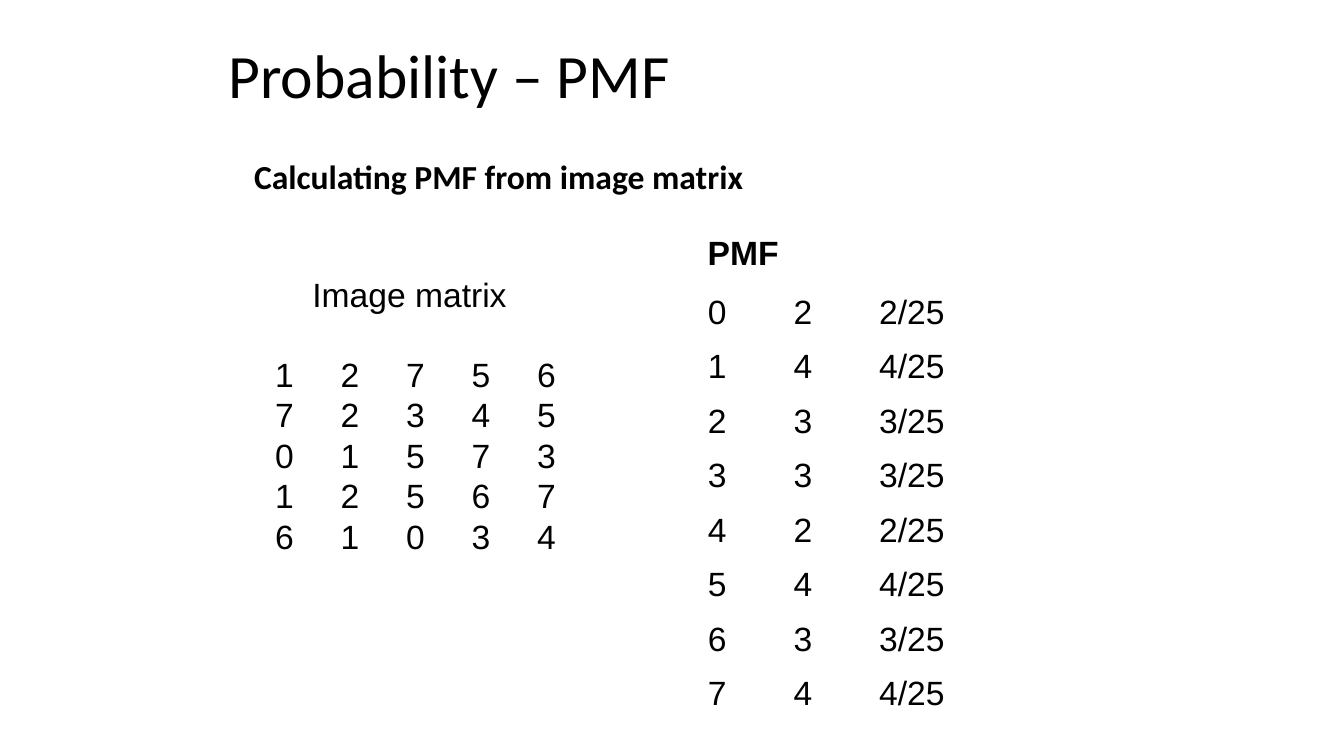
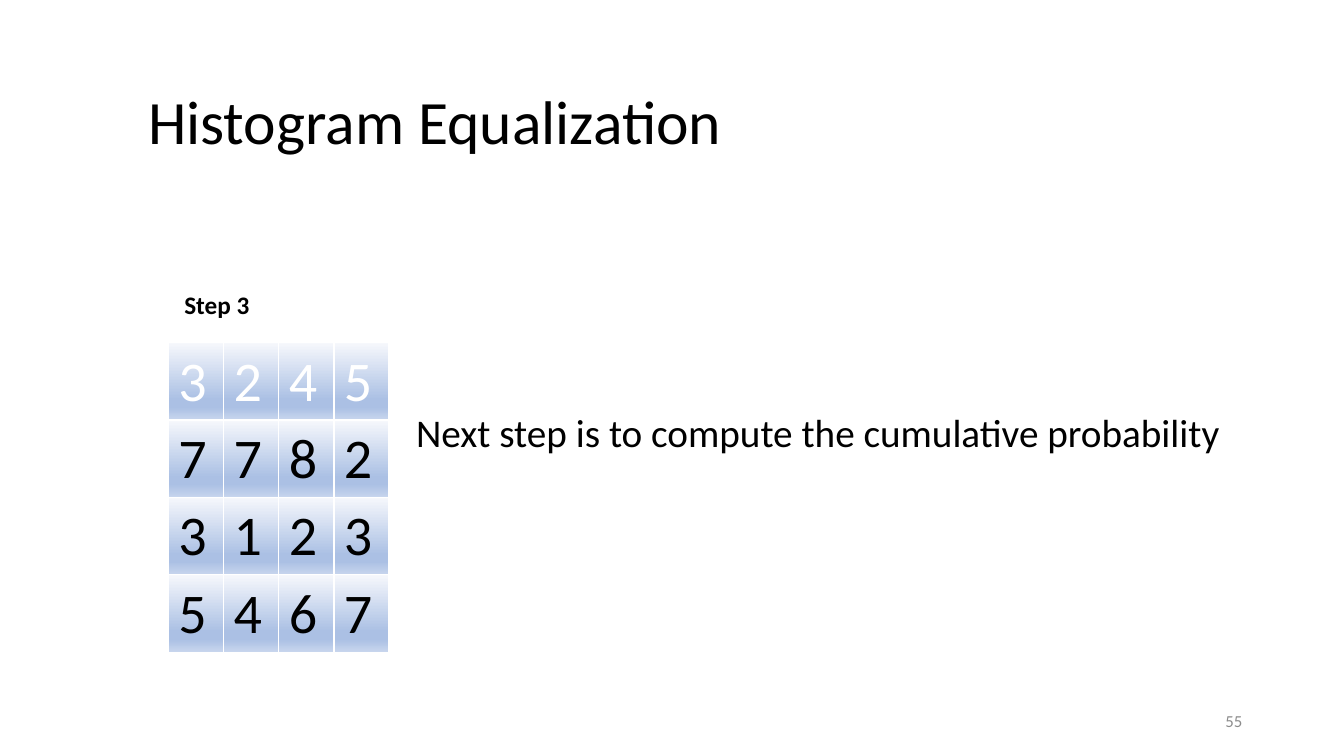
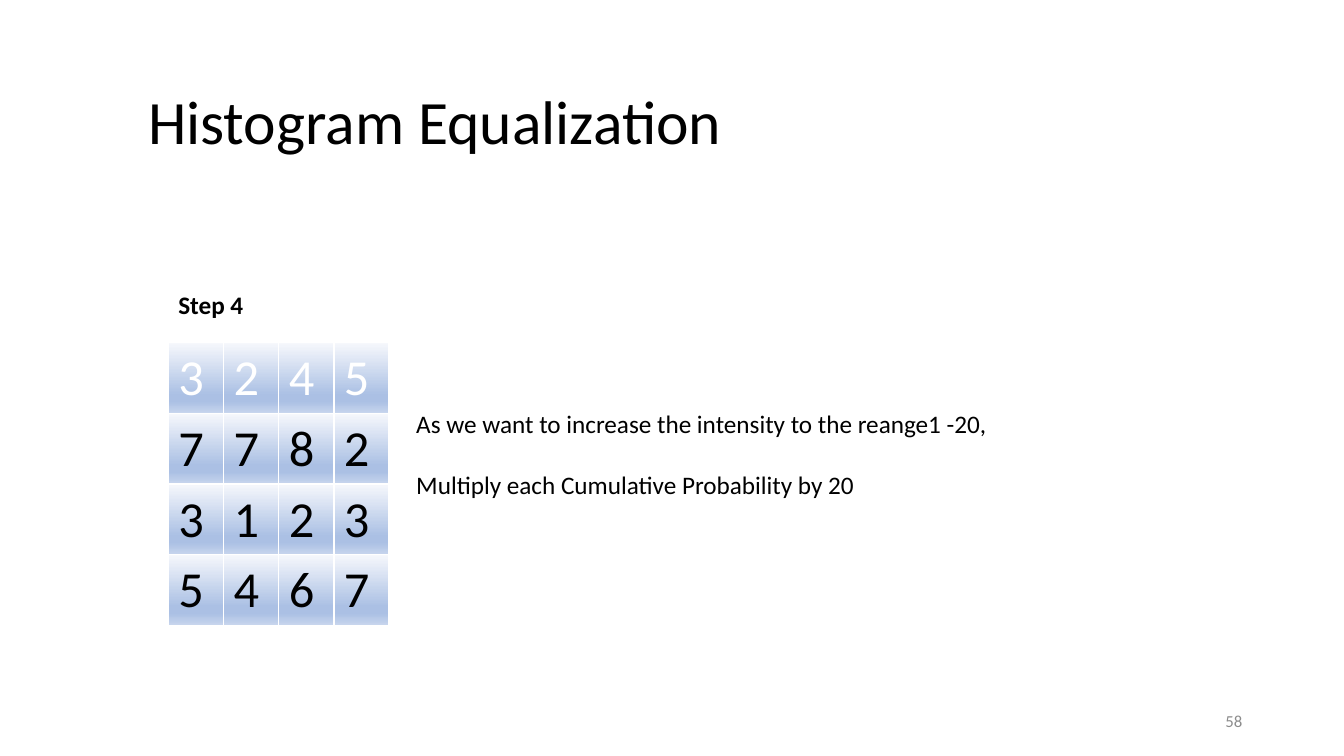
"""Build three slides on probability mass functions and histogram equalization."""
from pptx import Presentation
from pptx.dml.color import RGBColor
from pptx.enum.text import MSO_ANCHOR, PP_ALIGN
from pptx.oxml import parse_xml
from pptx.oxml.ns import nsdecls
from pptx.util import Inches, Pt

BLACK = RGBColor(0x00, 0x00, 0x00)
WHITE = RGBColor(0xFF, 0xFF, 0xFF)
GREY = RGBColor(0x8C, 0x8C, 0x8C)
CELL_STOPS = [
    (0, RGBColor(0xF6, 0xF8, 0xFC)),
    (74, RGBColor(0xAB, 0xC0, 0xE4)),
    (83, RGBColor(0xAB, 0xC0, 0xE4)),
    (100, RGBColor(0xC7, 0xD5, 0xED)),
]

TITLE = {"size": Pt(44), "name": "Calibri"}
SUBTITLE = {"size": Pt(24), "name": "Calibri", "bold": True}
LABEL = {"size": Pt(24), "name": "Arial", "bold": True}
MATRIX = {"size": Pt(24), "name": "Arial"}
STEP = {"size": Pt(18), "name": "Calibri", "bold": True}
NUMBER = {"size": Pt(12), "name": "Calibri"}
TITLE_PARA = {"line_spacing": 0.9}
TIGHT_PARA = {"line_spacing": 0.8}
MIDDLE = {"vertical_anchor": MSO_ANCHOR.MIDDLE}


def style_run(p, text, font, color=BLACK):
    r = p.add_run()
    r.text = text
    for key, value in font.items():
        setattr(r.font, key, value)
    r.font.color.rgb = color


def add_text(s, box, lines, font, para={}, frame={}, color=BLACK, gap=0):
    tf = s.shapes.add_textbox(*map(Inches, box)).text_frame
    for key, value in ({"word_wrap": True} | frame).items():
        setattr(tf, key, value)
    for i, line in enumerate(lines):
        p = tf.paragraphs[0] if i == 0 else tf.add_paragraph()
        if i and gap:
            p.space_before = Pt(gap)
        for key, value in para.items():
            setattr(p, key, value)
        style_run(p, line, font, color)
    return tf


prs = Presentation()
prs.slide_width, prs.slide_height = Inches(13.33), Inches(7.5)
blank = prs.slide_layouts[6]

s = prs.slides.add_slide(blank)
add_text(s, (2.17, 0.25, 9, 1.05), ["Probability – PMF"], TITLE, TITLE_PARA, MIDDLE)
add_text(s, (2.17, 1.58, 6.5, 0.5), ["Calculating PMF from image matrix"], SUBTITLE,
         TIGHT_PARA, {"margin_left": Inches(0.35)})
add_text(s, (6.92, 2.25, 0.98, 0.5), ["PMF"], LABEL, frame=MIDDLE)

counts = [2, 4, 3, 3, 2, 4, 3, 4]
table = s.shapes.add_table(len(counts), 3, Inches(6.92), Inches(2.83),
                           Inches(3.42), Inches(4.33)).table
table.first_row = table.horz_banding = False
for column, width in zip(table.columns, (0.85, 0.85, 1.72)):
    column.width = Inches(width)
for level, count in enumerate(counts):
    for col, text in enumerate((level, count, f"{count}/{sum(counts)}")):
        cell = table.cell(level, col)
        cell.fill.background()
        cell.vertical_anchor = MSO_ANCHOR.MIDDLE
        style_run(cell.text_frame.paragraphs[0], str(text), MATRIX)

image_rows = ["12756", "72345", "01573", "12567", "61034"]
lines = ["\tImage matrix"] + ["\t" + "\t".join(row) for row in image_rows]
tf = add_text(s, (2.17, 2.75, 4, 3.08), lines, MATRIX, TIGHT_PARA, gap=5.8)
tf.paragraphs[1].space_before = Pt(33.7)
for i, p in enumerate(tf.paragraphs):
    stops = [0.46 + 0.65 * col for col in range(5)] if i else [0.83]
    tabs = "".join(f'<a:tab pos="{Inches(stop)}" algn="l"/>' for stop in stops)
    p._p.get_or_add_pPr().append(
        parse_xml(f'<a:tabLst {nsdecls("a")}>{tabs}</a:tabLst>'))

step_slides = [
    ("Step 3", 1.73, 40, 3.07, ["Next step is to compute the cumulative probability"],
     28, (8.26, 0.57), "55"),
    ("Step 4", 1.67, 36, 2.8, ["As we want to increase the intensity to the reange1 -20,",
                               "Multiply each Cumulative Probability by 20"],
     18, (7.01, 1.01), "58"),
]
pixel_rows = ["3245", "7782", "3123", "5467"]
grad_stops = "".join(f'<a:gs pos="{pos * 1000}"><a:srgbClr val="{color}"/></a:gs>'
                     for pos, color in CELL_STOPS)
grad_xml = (f'<a:gradFill {nsdecls("a")} rotWithShape="1"><a:gsLst>{grad_stops}</a:gsLst>'
            '<a:lin ang="5400000" scaled="0"/></a:gradFill>')

for step, step_left, digit_size, height, note, note_size, note_box, number in step_slides:
    s = prs.slides.add_slide(blank)
    add_text(s, (1.37, 0.42, 11.13, 1.63), ["Histogram Equalization"], TITLE,
             TITLE_PARA, MIDDLE)
    add_text(s, (step_left, 2.82, 0.85, 0.4), [step], STEP, frame={"word_wrap": False})
    table = s.shapes.add_table(4, 4, Inches(1.67), Inches(3.4),
                               Inches(2.19), Inches(height)).table
    table.horz_banding = False
    for row, digits in enumerate(pixel_rows):
        for col, digit in enumerate(digits):
            cell = table.cell(row, col)
            cell._tc.get_or_add_tcPr().append(parse_xml(grad_xml))
            style_run(cell.text_frame.paragraphs[0], digit,
                      {"size": Pt(digit_size), "name": "Calibri", "bold": False},
                      BLACK if row else WHITE)
    add_text(s, (4.03, 4, *note_box), note, {"size": Pt(note_size), "name": "Calibri"},
             gap=22)
    add_text(s, (9.42, 6.95, 3, 0.4), [number], NUMBER,
             {"alignment": PP_ALIGN.RIGHT}, MIDDLE, GREY)

prs.save("out.pptx")
